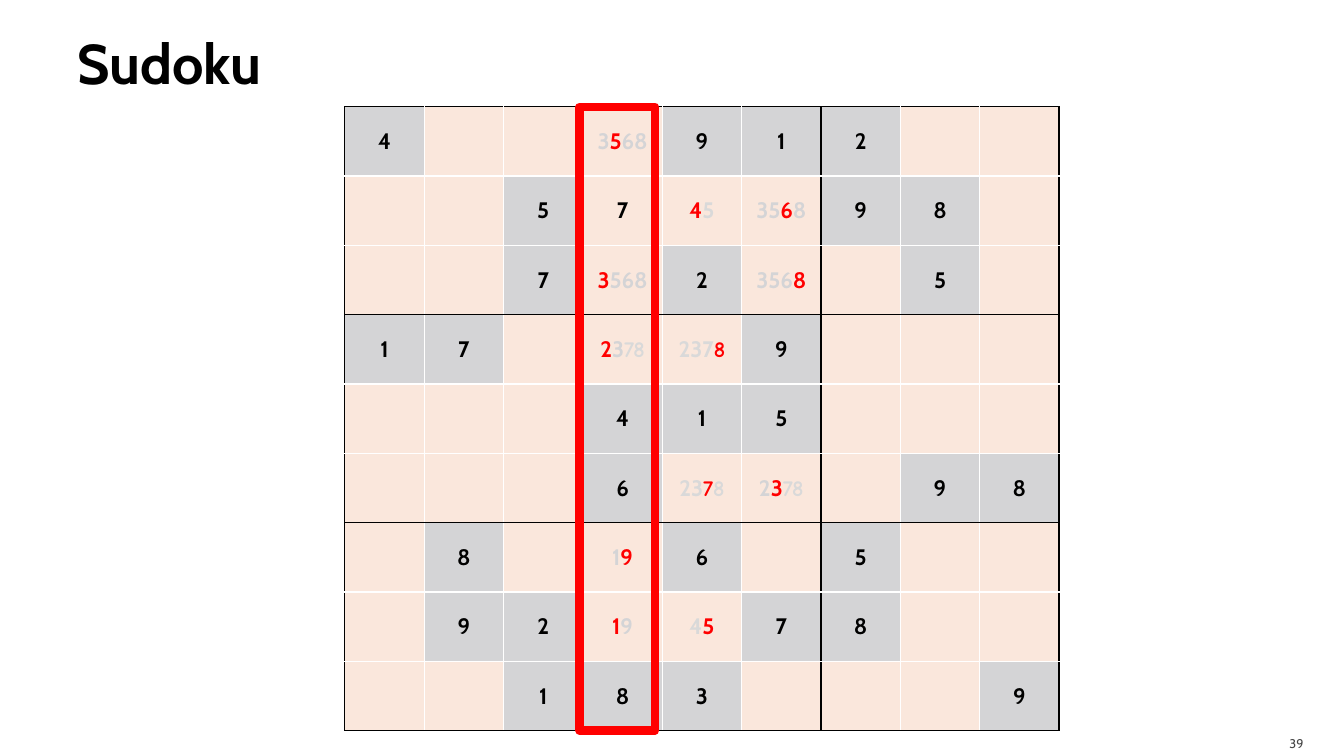
"""Build the Sudoku slide: a 9 by 9 grid with its fourth column framed."""
import pptx
import pptx.dml.color
import pptx.enum.shapes
import pptx.enum.text
import pptx.oxml.ns
import pptx.util
from lxml import etree

Cm = pptx.util.Cm
Pt = pptx.util.Pt
RGBColor = pptx.dml.color.RGBColor
PP_ALIGN = pptx.enum.text.PP_ALIGN
MIDDLE = pptx.enum.text.MSO_ANCHOR.MIDDLE

BLACK = RGBColor(0x00, 0x00, 0x00)
WHITE = RGBColor(0xFF, 0xFF, 0xFF)
RED = RGBColor(0xFF, 0x00, 0x00)
DARK_GREY = RGBColor(0x45, 0x45, 0x45)
GREY = RGBColor(0xD4, 0xD4, 0xD6)
PALE_GREY = RGBColor(0xD9, 0xD9, 0xD9)
PEACH = RGBColor(0xFA, 0xE7, 0xDC)

CABIN = "Cabin"
COMIC = "Comic Neue"

GRID_LEFT, GRID_TOP = 8.69, 2.69
CELL_WIDTH, CELL_HEIGHT = 2.0, 1.747
FRAMED_COLUMN = 3

GIVENS = [
    "4...912..",
    "..5...98.",
    "..7.2..5.",
    "17...9...",
    "...415...",
    "...6...98",
    ".8..6.5..",
    ".92..78..",
    "..183...9",
]
CANDIDATES = {
    (0, 3): [("3", GREY, CABIN), ("5", RED, CABIN), ("68", GREY, CABIN)],
    (1, 3): [("7", BLACK, CABIN)],
    (1, 4): [("4", RED, CABIN), ("5", PALE_GREY, CABIN)],
    (1, 5): [("35", GREY, CABIN), ("6", RED, CABIN), ("8", GREY, CABIN)],
    (2, 3): [("3", RED, CABIN), ("568", GREY, CABIN)],
    (2, 5): [("356", GREY, CABIN), ("8", RED, CABIN)],
    (3, 3): [("2", RED, CABIN), ("3", GREY, CABIN), ("78", PALE_GREY, COMIC)],
    (3, 4): [("237", PALE_GREY, CABIN), ("8", RED, COMIC)],
    (5, 4): [("23", PALE_GREY, CABIN), ("7", RED, COMIC), ("8", PALE_GREY, COMIC)],
    (5, 5): [("2", GREY, CABIN), ("3", RED, CABIN), ("78", PALE_GREY, COMIC)],
    (6, 3): [("1", GREY, CABIN), ("9", RED, CABIN)],
    (7, 3): [("1", RED, CABIN), ("9", GREY, CABIN)],
    (7, 4): [("4", PALE_GREY, CABIN), ("5", RED, CABIN)],
}


def add_run(p, text, size, color, font=CABIN, bold=True):
    r = p.add_run()
    r.text = text
    r.font.size = Pt(size)
    r.font.name = font
    r.font.bold = bold
    r.font.color.rgb = color


def place(sp, left, top, width, height):
    sp.left, sp.top, sp.width, sp.height = Cm(left), Cm(top), Cm(width), Cm(height)


def set_title(slide, text):
    sp = slide.shapes.title
    place(sp, 1.7, 0.2, 30.48, 2.74)
    tf = sp.text_frame
    tf.vertical_anchor = MIDDLE
    tf.margin_left = Cm(0.25)
    tf.margin_top = tf.margin_right = tf.margin_bottom = Cm(0.13)
    p = tf.paragraphs[0]
    p.alignment = PP_ALIGN.LEFT
    add_run(p, text, 40, BLACK)


def add_slide_number(slide, text):
    sp = slide.shapes.add_textbox(Cm(30.38), Cm(18.29), Cm(2.72), Cm(0.76))
    tf = sp.text_frame
    tf.word_wrap = True
    tf.vertical_anchor = MIDDLE
    tf.margin_bottom = 0
    p = tf.paragraphs[0]
    p.alignment = PP_ALIGN.RIGHT
    add_run(p, text, 9, DARK_GREY, bold=False)


def set_borders(cell, colors):
    qn = pptx.oxml.ns.qn
    tc_pr = cell._tc.get_or_add_tcPr()
    for side, color in colors.items():
        ln = etree.SubElement(tc_pr, qn(f"a:ln{side}"), w=str(Pt(1)))
        fill = etree.SubElement(ln, qn("a:solidFill"))
        etree.SubElement(fill, qn("a:srgbClr"), val=str(color))


def fill_cell(cell, row, col):
    given = GIVENS[row][col]
    is_given = given != "."
    set_borders(cell, {
        "L": BLACK if col % 3 == 0 else WHITE,
        "R": BLACK if col % 3 == 2 else WHITE,
        "T": BLACK if row % 3 == 0 else WHITE,
        "B": BLACK if row % 3 == 2 else WHITE,
    })
    cell.fill.solid()
    cell.fill.fore_color.rgb = GREY if is_given else PEACH
    cell.vertical_anchor = MIDDLE
    p = cell.text_frame.paragraphs[0]
    p.alignment = PP_ALIGN.CENTER
    runs = [(given, BLACK, CABIN)] if is_given else CANDIDATES.get((row, col), [])
    for text, color, font in runs:
        add_run(p, text, 16, color, font)


def add_grid(slide):
    size = len(GIVENS)
    frame = slide.shapes.add_table(size, size, Cm(GRID_LEFT), Cm(GRID_TOP),
                                   Cm(CELL_WIDTH * size), Cm(CELL_HEIGHT * size))
    table = frame.table
    table.first_row = table.horz_banding = False
    for i in range(size):
        table.columns[i].width = Cm(CELL_WIDTH)
        table.rows[i].height = Cm(CELL_HEIGHT)
        for col in range(size):
            fill_cell(table.cell(i, col), i, col)


def add_column_frame(slide):
    left = GRID_LEFT + FRAMED_COLUMN * CELL_WIDTH - 0.08
    sp = slide.shapes.add_shape(pptx.enum.shapes.MSO_SHAPE.RECTANGLE, Cm(left), Cm(GRID_TOP),
                                Cm(1.9), Cm(CELL_HEIGHT * len(GIVENS)))
    sp.shadow.inherit = False
    sp.fill.background()
    sp.line.color.rgb = RED
    sp.line.width = Pt(6)


def main():
    prs = pptx.Presentation()
    prs.slide_width, prs.slide_height = Cm(33.87), Cm(19.05)
    slide = prs.slides.add_slide(prs.slide_layouts[5])
    set_title(slide, "Sudoku")
    add_slide_number(slide, "39")
    add_grid(slide)
    add_column_frame(slide)
    prs.save("out.pptx")


if __name__ == "__main__":
    main()
